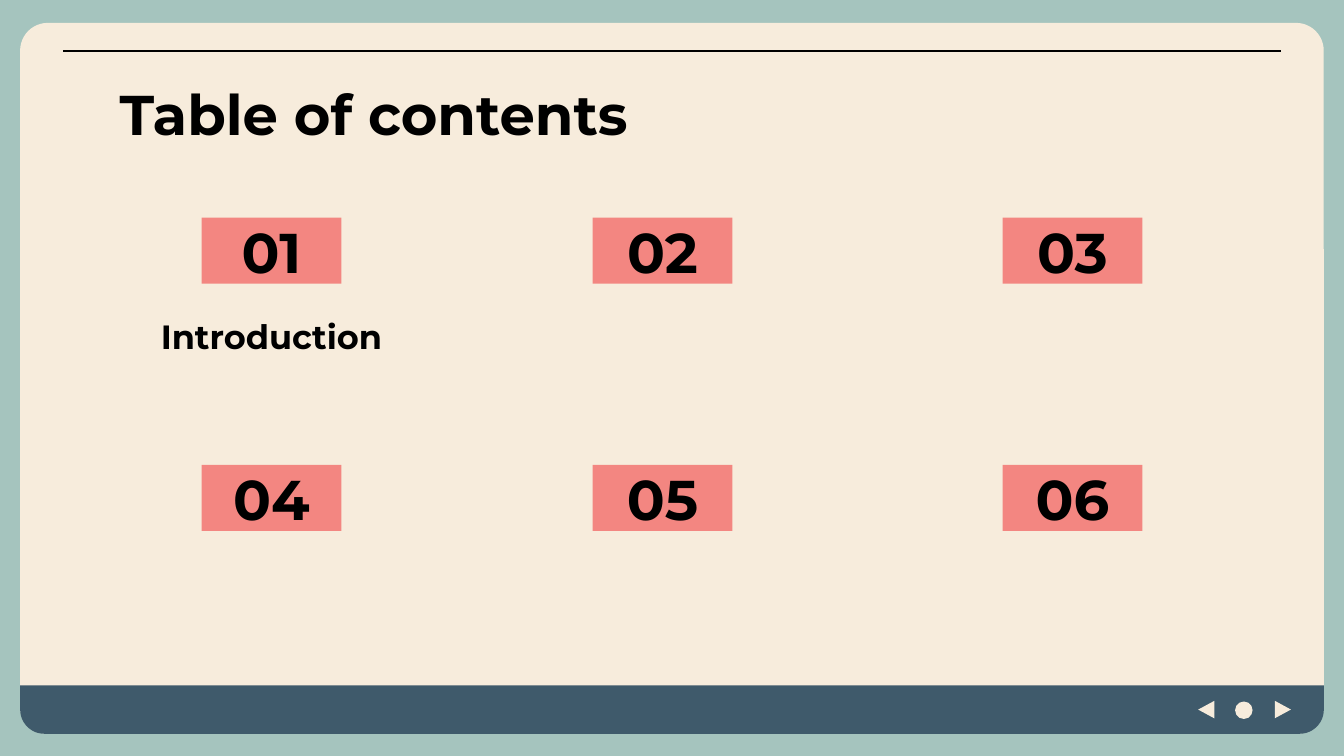
import pptx
import pptx.util
import pptx.dml.color
import pptx.enum.shapes
import pptx.enum.text
import pptx.oxml.ns
import lxml.etree

Inches = pptx.util.Inches
SHAPE = pptx.enum.shapes.MSO_SHAPE
ALIGN = pptx.enum.text.PP_ALIGN
ANCHOR = pptx.enum.text.MSO_ANCHOR

THEME = {
    "font": "Montserrat",
    "background": "A5C4BE",
    "panel": "F7ECDC",
    "footer": "3F5A6B",
    "accent": "F38681",
    "ink": "000000",
    "title_size": 30,
    "label_size": 18,
}

TITLE = "Table of contents"
SECTIONS = [
    ("01", "Introduction"), ("02", ""), ("03", ""),
    ("04", ""), ("05", ""), ("06", ""),
]
COLUMN_LEFTS = [1.5, 4.41, 7.46]
ROW_TOPS = [1.62, 3.46]
NUMBER_SIZE = (1.04, 0.49)
LABEL_SIZE = (2.03, 0.8)
LABEL_DROP = 0.63

FRAME = [
    (SHAPE.ROUNDED_RECTANGLE, (0.15, 0.17, 9.7, 5.29), "panel", 0, [0.039]),
    (SHAPE.ROUND_2_SAME_RECTANGLE, (0.15, 5.1, 9.7, 0.36), "footer", 180, [0.5, 0]),
    (SHAPE.OVAL, (9.19, 5.22, 0.13, 0.13), "panel", 0, []),
    (SHAPE.ISOSCELES_TRIANGLE, (9.48, 5.22, 0.13, 0.12), "panel", 90, []),
    (SHAPE.ISOSCELES_TRIANGLE, (8.91, 5.22, 0.13, 0.12), "panel", 270, []),
]


def color(name):
    return pptx.dml.color.RGBColor.from_string(THEME[name])


def add_shape(slide, kind, bounds, fill, rotation=0, adjustments=()):
    shape = slide.shapes.add_shape(kind, *map(Inches, bounds))
    shape.shadow.inherit = False
    shape.fill.solid()
    shape.fill.fore_color.rgb = color(fill)
    shape.line.fill.background()
    shape.rotation = rotation
    for index, value in enumerate(adjustments):
        shape.adjustments[index] = value
    return shape


def write(shape, text, size, align, anchor):
    frame = shape.text_frame
    frame.text = text
    frame.word_wrap = True
    frame.auto_size = pptx.enum.text.MSO_AUTO_SIZE.NONE
    frame.vertical_anchor = anchor
    frame.margin_left = frame.margin_right = Inches(0.1)
    frame.margin_top = frame.margin_bottom = Inches(0.1)
    para = frame.paragraphs[0]
    para.alignment = align
    font = para.runs[0].font
    font.name = THEME["font"]
    font.size = pptx.util.Pt(THEME[size])
    font.bold = True
    font.color.rgb = color("ink")


def add_frame(slide):
    for kind, bounds, fill, rotation, adjustments in FRAME:
        add_shape(slide, kind, bounds, fill, rotation, adjustments)
    rule = slide.shapes.add_connector(
        pptx.enum.shapes.MSO_CONNECTOR.STRAIGHT,
        *map(Inches, (0.47, 0.38, 9.53, 0.38)))
    rule.line.color.rgb = color("ink")
    rule.line.width = pptx.util.Pt(1.5)
    lxml.etree.SubElement(rule._element.spPr, pptx.oxml.ns.qn("a:effectLst"))


def add_title(slide):
    title = slide.shapes.title
    title.left, title.top, title.width, title.height = map(
        Inches, (0.79, 0.49, 8.43, 0.63))
    write(title, TITLE, "title_size", ALIGN.LEFT, ANCHOR.TOP)
    slide.shapes._spTree.append(title._element)


def add_sections(slide):
    width, height = NUMBER_SIZE
    label_width, label_height = LABEL_SIZE
    for index, (number, label) in enumerate(SECTIONS):
        row, column = divmod(index, len(COLUMN_LEFTS))
        left, top = COLUMN_LEFTS[column], ROW_TOPS[row]
        box = add_shape(slide, SHAPE.RECTANGLE, (left, top, width, height), "accent")
        write(box, number, "title_size", ALIGN.CENTER, ANCHOR.MIDDLE)
        if label:
            label_left = left + (width - label_width) / 2
            label_box = slide.shapes.add_textbox(*map(
                Inches, (label_left, top + LABEL_DROP, label_width, label_height)))
            write(label_box, label, "label_size", ALIGN.CENTER, ANCHOR.TOP)


def main():
    deck = pptx.Presentation()
    deck.slide_width = Inches(10)
    deck.slide_height = Inches(10 * 9 / 16)
    slide = deck.slides.add_slide(deck.slide_layouts[5])
    slide.background.fill.solid()
    slide.background.fill.fore_color.rgb = color("background")
    add_frame(slide)
    add_title(slide)
    add_sections(slide)
    deck.save("out.pptx")


if __name__ == "__main__":
    main()
